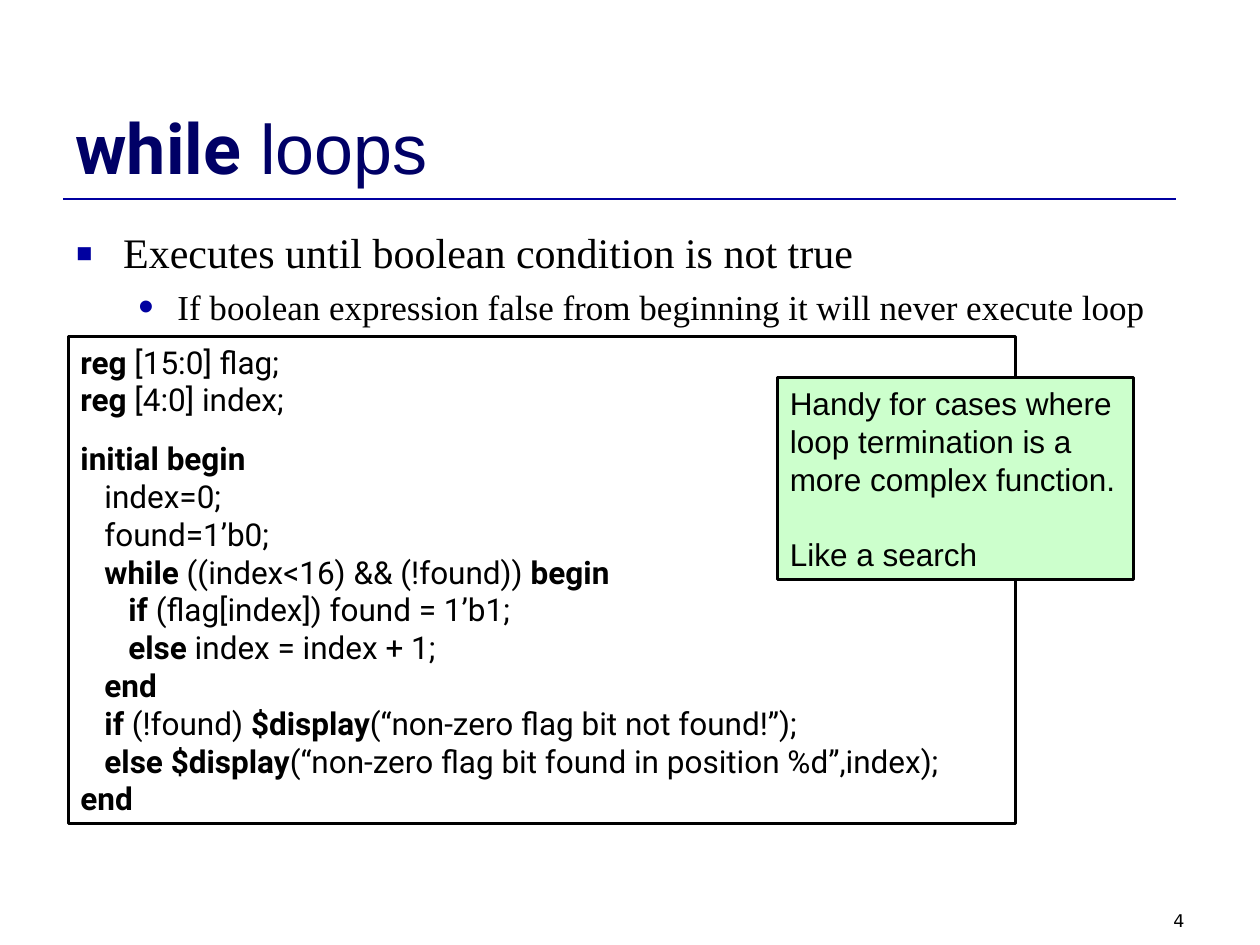
"""Build the slide on while loops."""
import pptx
import pptx.util
import pptx.dml.color
import pptx.enum.shapes
import pptx.enum.text
import pptx.oxml
import lxml.etree

Inches, Pt = pptx.util.Inches, pptx.util.Pt
ALIGN = pptx.enum.text.PP_ALIGN
ANCHOR = pptx.enum.text.MSO_ANCHOR

THEME = {
    "title": "000066", "accent": "0000A0", "text": "000000", "note": "CCFFCC",
    "title_size": 40, "code_size": 18, "number_size": 10,
    "head": "Arial", "body": "Times New Roman", "code": "Roboto", "number": "DejaVu Sans",
    "border": 1.75, "rule": 1.5, "code_indent": 0.19,
}

TITLE = "*while* loops"
BULLETS = [
    {"text": "Executes until boolean condition is not true",
     "size": 24, "mark": "▪", "left": 0.38, "hang": 0.38, "before": 6},
    {"text": "If boolean expression false from beginning it will never execute loop",
     "size": 20, "mark": "•", "left": 0.81, "hang": 0.31, "before": 5},
]
CODE = [
    (0, 0, "*reg* [15:0] flag;"),
    (0, 0, "*reg* [4:0] index;"),
    (0, 12, "*initial begin*"),
    (1, 0, "index=0;"),
    (1, 0, "found=1’b0;"),
    (1, 0, "*while* ((index<16) && (!found)) *begin*"),
    (2, 0, "*if* (flag[index]) found = 1’b1;"),
    (2, 0, "*else* index = index + 1;"),
    (1, 0, "*end*"),
    (1, 0, "*if* (!found) *$display*(“non-zero flag bit not found!”);"),
    (1, 0, "*else $display*(“non-zero flag bit found in position %d”,index);"),
    (0, 0, "*end*"),
]
NOTE = [
    (0, 0, "Handy for cases where loop termination is a more complex function."),
    (0, 21.5, "Like a search"),
]
NUMBER = "4"


def color(name):
    return pptx.dml.color.RGBColor.from_string(THEME[name])


def add_runs(p, marked, size, font, ink="text", bold_font=None):
    for i, part in enumerate(marked.split("*")):
        if part:
            bold = i % 2 == 1
            r = p.add_run()
            r.text = part
            r.font.size = Pt(size)
            r.font.name = THEME[bold_font if bold and bold_font else font]
            r.font.bold = bold
            r.font.color.rgb = color(ink)


def set_indent(p, left, hang=0):
    pPr = p._p.get_or_add_pPr()
    pPr.set("marL", str(Inches(left)))
    pPr.set("indent", str(-Inches(hang)))
    return pPr


def add_bullet(p, bullet):
    pPr = set_indent(p, bullet["left"], bullet["hang"])
    p.space_before = Pt(bullet["before"])
    ns = pptx.oxml.ns.qn
    clr = lxml.etree.SubElement(pPr, ns("a:buClr"))
    lxml.etree.SubElement(clr, ns("a:srgbClr"), val=THEME["accent"])
    lxml.etree.SubElement(pPr, ns("a:buSzPct"), val="125000")
    lxml.etree.SubElement(pPr, ns("a:buFont"), typeface=THEME["head"])
    lxml.etree.SubElement(pPr, ns("a:buChar"), char=bullet["mark"])


def paragraphs(tf, items):
    for i, item in enumerate(items):
        yield (tf.add_paragraph() if i else tf.paragraphs[0]), item


def add_text_box(slide, box):
    tf = slide.shapes.add_textbox(*map(Inches, box)).text_frame
    tf.word_wrap = True
    return tf


def add_panel(slide, box, lines, font, fill=None):
    sp = slide.shapes.add_shape(pptx.enum.shapes.MSO_SHAPE.RECTANGLE, *map(Inches, box))
    sp.shadow.inherit = False
    if fill:
        sp.fill.solid()
        sp.fill.fore_color.rgb = color(fill)
    else:
        sp.fill.background()
    sp.line.color.rgb = color("text")
    sp.line.width = Pt(THEME["border"])
    tf = sp.text_frame
    tf.word_wrap = True
    tf.vertical_anchor = ANCHOR.TOP
    for p, (depth, before, text) in paragraphs(tf, lines):
        p.alignment = ALIGN.LEFT
        p.space_before = Pt(before)
        set_indent(p, depth * THEME["code_indent"])
        add_runs(p, text, THEME["code_size"], font)


def add_title(slide):
    sp = slide.shapes.title
    sp.left, sp.top, sp.width, sp.height = map(Inches, (0.5, 0.3, 9, 1.25))
    tf = sp.text_frame
    tf.auto_size = pptx.enum.text.MSO_AUTO_SIZE.NONE
    tf.vertical_anchor = ANCHOR.BOTTOM
    p = tf.paragraphs[0]
    p.alignment = ALIGN.LEFT
    add_runs(p, TITLE, THEME["title_size"], "head", "title", "code")


def add_rule(slide):
    line = slide.shapes.add_connector(
        pptx.enum.shapes.MSO_CONNECTOR.STRAIGHT, *map(Inches, (0.5, 1.58, 9.33, 1.58)))
    line.line.color.rgb = color("accent")
    line.line.width = Pt(THEME["rule"])
    lxml.etree.SubElement(line._element.spPr, pptx.oxml.ns.qn("a:effectLst"))


def main():
    prs = pptx.Presentation()
    prs.slide_width, prs.slide_height = Inches(10), Inches(7.5)
    slide = prs.slides.add_slide(prs.slide_layouts[5])
    add_rule(slide)
    add_title(slide)

    p = add_text_box(slide, (7.17, 7.17, 2.33, 0.25)).paragraphs[0]
    p.alignment = ALIGN.RIGHT
    add_runs(p, NUMBER, THEME["number_size"], "number")

    tf = add_text_box(slide, (0.5, 1.75, 9, 1.08))
    for level, (p, bullet) in enumerate(paragraphs(tf, BULLETS)):
        p.level = level
        add_bullet(p, bullet)
        add_runs(p, bullet["text"], bullet["size"], "body")

    add_panel(slide, (0.54, 2.67, 7.52, 3.87), CODE, "code")
    add_panel(slide, (6.17, 3, 2.83, 1.6), NOTE, "head", "note")
    prs.save("out.pptx")


if __name__ == "__main__":
    main()
